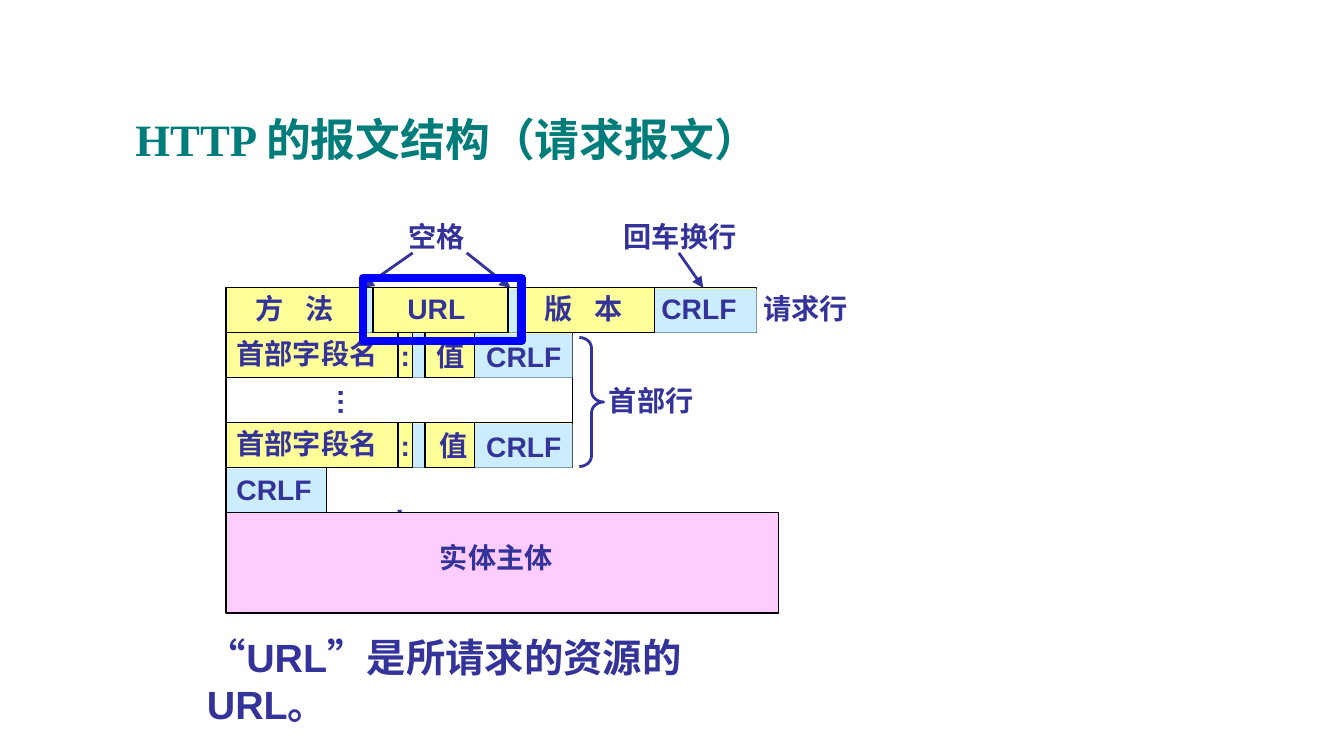
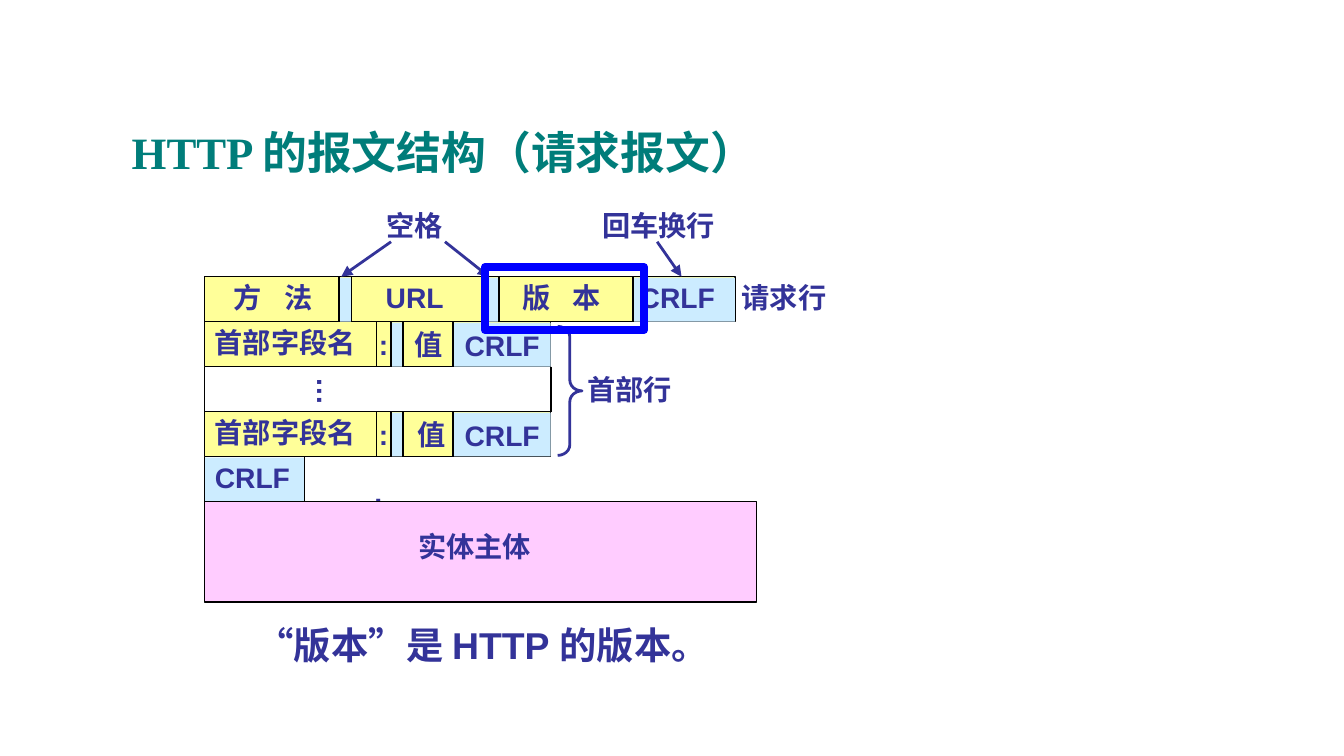
from dataclasses import dataclass

from lxml.etree import SubElement
from pptx import Presentation
from pptx.dml.color import RGBColor
from pptx.enum.shapes import MSO_CONNECTOR, MSO_SHAPE
from pptx.enum.text import MSO_ANCHOR, MSO_AUTO_SIZE, PP_ALIGN
from pptx.oxml.ns import qn
from pptx.util import Cm, Pt


@dataclass(frozen=True)
class Theme:
    title: str = "007D7A"
    ink: str = "333399"
    black: str = "000000"
    yellow: str = "FFFF99"
    light_blue: str = "CCECFF"
    pink: str = "FFCCFF"
    highlight: str = "0000FF"
    title_font: str = "Times New Roman"
    body_font: str = "Arial"
    chinese_font: str = "Noto Sans CJK SC"
    title_size: float = 24
    label_size: float = 15.1
    thin: float = 0.75
    medium: float = 1.5
    thick: float = 4.5


theme = Theme()


def add_shape(slide, kind, box, fill=None, line=None, line_width=theme.thin):
    shape = slide.shapes.add_shape(kind, *map(Cm, box))
    shape.shadow.inherit = False
    if fill:
        shape.fill.solid()
        shape.fill.fore_color.rgb = RGBColor.from_string(fill)
    else:
        shape.fill.background()
    if line:
        shape.line.color.rgb = RGBColor.from_string(line)
        shape.line.width = Pt(line_width)
    else:
        shape.line.fill.background()
    return shape


def add_text(slide, text, box, size=theme.label_size, color=theme.ink,
             font=theme.body_font, wrap=False):
    """Add bold text with one Latin and one Chinese typeface."""
    shape = slide.shapes.add_textbox(*map(Cm, box))
    frame = shape.text_frame
    frame.text = text
    frame.word_wrap = wrap
    frame.auto_size = MSO_AUTO_SIZE.SHAPE_TO_FIT_TEXT
    frame.margin_left = frame.margin_right = Cm(0.2)
    frame.margin_top = frame.margin_bottom = Cm(0.1)
    run = frame.paragraphs[0].runs[0]
    run.font.name = font
    run.font.size = Pt(size)
    run.font.bold = True
    run.font.color.rgb = RGBColor.from_string(color)
    properties = run.font._element
    properties.set("lang", "zh-CN")
    SubElement(properties, qn("a:ea"), typeface=theme.chinese_font)
    return shape


# Diagram measures in cm, counted from its top left corner
ROW = 0.85
REQUEST_WIDTH, FIELD_WIDTH, END_WIDTH, BODY_WIDTH = 10.03, 6.55, 1.9, 10.44
REQUEST_DIVIDERS = (2.55, 2.78, 5.33, 5.57, 8.1)
FIELD_DIVIDERS = (3.25, 3.53, 3.76, 4.7)
FIELD_ROWS = (1, 3)
BODY_TOP = 5 * ROW

yellow_rows = [(0, REQUEST_WIDTH)] + [(row, FIELD_WIDTH) for row in FIELD_ROWS]

# Row, left, right
blue_cells = [(0, 2.55, 2.78), (0, 5.33, 5.57), (0, 8.1, REQUEST_WIDTH), (4, 0, END_WIDTH)]
for row in FIELD_ROWS:
    blue_cells += [(row, 3.53, 3.76), (row, 4.7, FIELD_WIDTH)]

# Row, left
dividers = [(0, left) for left in REQUEST_DIVIDERS]
dividers += [(row, left) for row in FIELD_ROWS for left in FIELD_DIVIDERS]
dividers += [(2, 0), (2, FIELD_WIDTH), (4, 0), (4, END_WIDTH)]

lines = [(left, row * ROW, left, (row + 1) * ROW, False) for row, left in dividers]
lines += [(start, -0.66, end, 0, True)
          for start, end in ((4.55, 5.38), (3.53, 2.59), (8.56, 9.02))]

# Text, left, top, width
labels = [
    ("URL", 3.23, -0.03, 1.5),
    ("CRLF", 8.03, -0.03, 1.83),
    ("请求行", 9.96, -0.03, 2.01),
    ("首部行", 7.04, 1.7, 2.01),
    (":", 3, 3.84, 0.56),
    ("CRLF", 0, 3.38, 1.83),
    ("空格", 3.25, -1.4, 1.47),
    ("回车换行", 7.32, -1.4, 2.54),
]
for row, value_left in zip(FIELD_ROWS, (3.78, 3.84)):
    top = row * ROW
    labels += [("首部字段名", 0, top - 0.03, 3.07), (":", 3.1, top, 0.56),
               ("值", value_left, top, 0.91), ("CRLF", 4.72, top + 0.02, 1.83)]
spaced_labels = [("方 法", 0.36), ("版 本", 5.82)]

pages = [
    {"origin": (4.27, 5.44), "title_box": (2.31, 1.75, 16.28, 1.75),
     "highlight_left": 2.59, "caption": "“URL”是所请求的资源的 URL。",
     "caption_box": (3.71, 11.86, 11.28, 1.09), "caption_size": 21.1},
    {"origin": (3.86, 5.23), "title_box": (2.24, 1.68, 17.86, 2.39),
     "highlight_left": 5.31, "caption": "“版本”是 HTTP 的版本。",
     "caption_box": (4.65, 11.66, 8.89, 1.04), "caption_size": 20},
]

presentation = Presentation()
presentation.slide_width, presentation.slide_height = Cm(25.4), Cm(14.29)

for page in pages:
    slide = presentation.slides.add_slide(presentation.slide_layouts[6])
    x, y = page["origin"]

    for row, width in yellow_rows:
        add_shape(slide, MSO_SHAPE.RECTANGLE, (x, y + row * ROW, width, ROW),
                  theme.yellow, theme.black)
    for row, left, right in blue_cells:
        add_shape(slide, MSO_SHAPE.RECTANGLE,
                  (x + left, y + row * ROW + 0.02, right - left, ROW - 0.02),
                  theme.light_blue)

    for x1, y1, x2, y2, is_arrow in lines:
        connector = slide.shapes.add_connector(
            MSO_CONNECTOR.STRAIGHT, Cm(x + x1), Cm(y + y1), Cm(x + x2), Cm(y + y2))
        connector.line.color.rgb = RGBColor.from_string(theme.ink if is_arrow else theme.black)
        connector.line.width = Pt(theme.medium if is_arrow else theme.thin)
        if is_arrow:
            SubElement(connector.line._get_or_add_ln(), qn("a:tailEnd"), type="triangle")
        SubElement(connector._element.spPr, qn("a:effectLst"))

    for text, left, top, width in labels:
        add_text(slide, text, (x + left, y + top, width, ROW))
    for text, left in spaced_labels:
        label = add_text(slide, text, (x + left, y - 0.03, 1.9, ROW))
        label.text_frame.paragraphs[0].runs[0].font._element.set("spc", "420")
    ellipsis = add_text(slide, "…", (x + 1.55, y + 1.75, 0.91, ROW))
    ellipsis.rotation = 270

    brace = add_shape(slide, MSO_SHAPE.RIGHT_BRACE, (x + 6.68, y + 0.94, 0.46, 2.44),
                      line=theme.ink, line_width=theme.medium)
    brace.adjustments[0] = 0.44
    add_shape(slide, MSO_SHAPE.RECTANGLE, (x, y + BODY_TOP, BODY_WIDTH, 1.9),
              theme.pink, theme.black)
    body_label = add_text(slide, "实体主体", (x + 3.84, y + 4.67, 2.54, ROW))
    body_label.text_frame.paragraphs[0].alignment = PP_ALIGN.CENTER

    add_text(slide, page["caption"], page["caption_box"], page["caption_size"], wrap=True)
    add_shape(slide, MSO_SHAPE.RECTANGLE, (x + page["highlight_left"], y - 0.18, 3, 1.19),
              line=theme.highlight, line_width=theme.thick)

    title = add_text(slide, "HTTP 的报文结构（请求报文）", page["title_box"],
                     theme.title_size, theme.title, theme.title_font, wrap=True)
    title.text_frame.auto_size = MSO_AUTO_SIZE.NONE
    title.text_frame.vertical_anchor = MSO_ANCHOR.MIDDLE
    title.text_frame.margin_left = title.text_frame.margin_right = Cm(0.25)

presentation.save("out.pptx")
